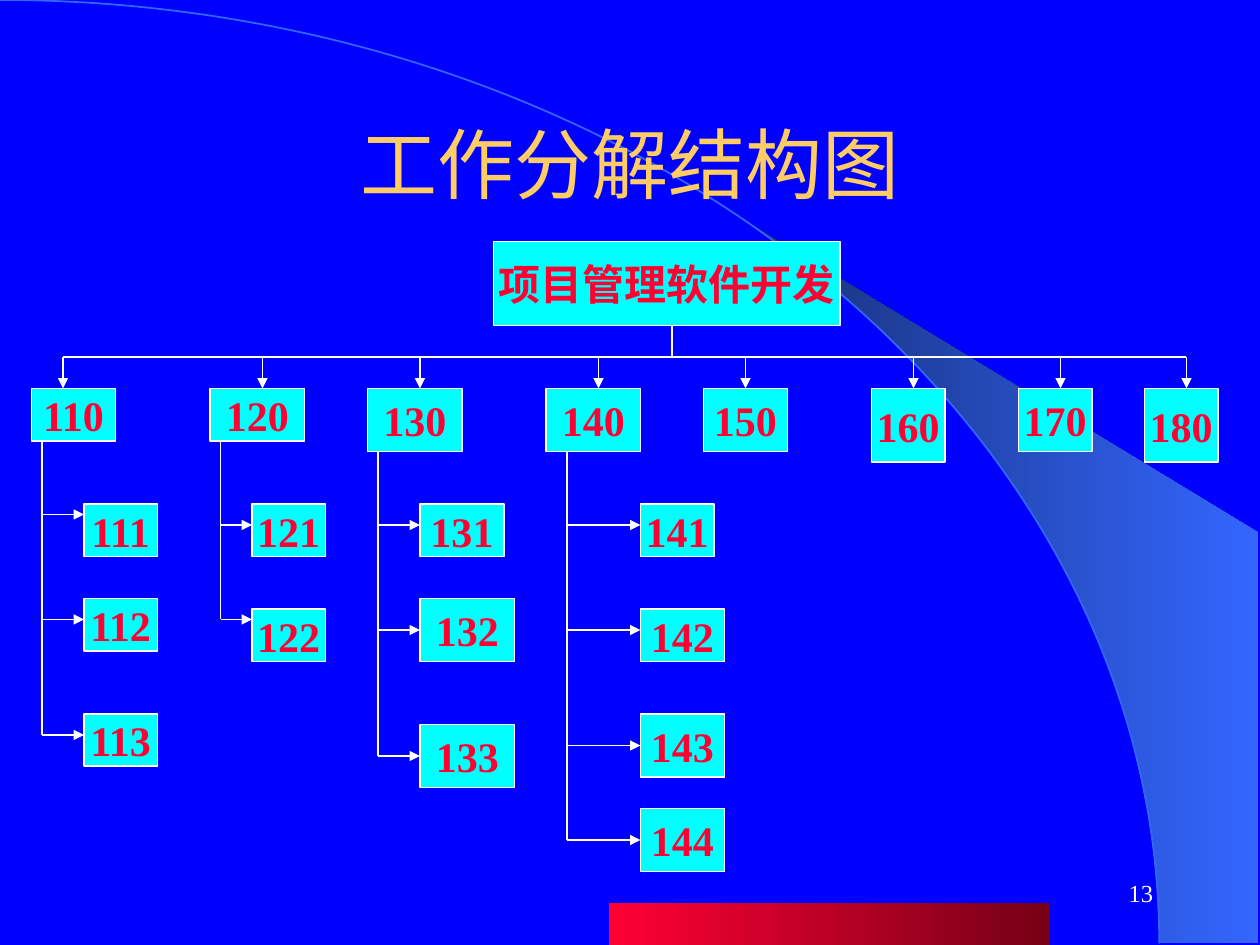
from dataclasses import dataclass
from math import cos, radians, sin

from lxml import etree
from pptx import Presentation
from pptx.dml.color import RGBColor
from pptx.enum.shapes import MSO_CONNECTOR, MSO_SHAPE
from pptx.enum.text import MSO_ANCHOR, PP_ALIGN
from pptx.oxml.ns import qn
from pptx.util import Cm, Length, Pt

RECTANGLE, ARC = MSO_SHAPE.RECTANGLE, MSO_SHAPE.ARC
STRAIGHT = MSO_CONNECTOR.STRAIGHT
CENTER, RIGHT = PP_ALIGN.CENTER, PP_ALIGN.RIGHT
MIDDLE = MSO_ANCHOR.MIDDLE

BLUE = RGBColor(0x00, 0x00, 0xFF)
SKY = RGBColor(0x33, 0x66, 0xFF)
NAVY = RGBColor(0x17, 0x2F, 0x75)
GOLD = RGBColor(0xFF, 0xCC, 0x66)
CYAN = RGBColor(0x00, 0xFF, 0xFF)
RED = RGBColor(0xFF, 0x00, 0x33)
MAROON = RGBColor(0x75, 0x00, 0x17)
WHITE = RGBColor(0xFF, 0xFF, 0xFF)

SERIF, SANS = "Times New Roman", "Noto Sans CJK SC"
ARC_WIDTH, ARC_HEIGHT = 23.37, 19.02  # radii in cm


@dataclass(frozen=True)
class Node:
    """A box, in grid steps; arrow is where its incoming arrow meets it."""
    label: str
    left: float
    top: float
    width: float
    height: float
    arrow: float = 0


@dataclass(frozen=True)
class Branch:
    head: Node
    trunk: float = 0
    children: tuple[Node, ...] = ()


ROOT = Node("项目管理软件开发", 47, 23, 33, 8)
STEM, BUS = 64, 34
BRANCHES = (
    Branch(Node("110", 3, 37, 8, 5, 6), 4, (
        Node("111", 8, 48, 7, 5, 49),
        Node("112", 8, 57, 7, 5, 59),
        Node("113", 8, 68, 7, 5, 70))),
    Branch(Node("120", 20, 37, 9, 5, 25), 21, (
        Node("121", 24, 48, 7, 5, 50),
        Node("122", 24, 58, 7, 5, 59))),
    Branch(Node("130", 35, 37, 9, 6, 40), 36, (
        Node("131", 40, 48, 8, 5, 50),
        Node("132", 40, 57, 9, 6, 60),
        Node("133", 40, 69, 9, 6, 72))),
    Branch(Node("140", 52, 37, 9, 6, 57), 54, (
        Node("141", 61, 48, 7, 5, 50),
        Node("142", 61, 58, 8, 5, 60),
        Node("143", 61, 68, 8, 6, 71),
        Node("144", 61, 77, 8, 6, 80))),
    Branch(Node("150", 67, 37, 8, 6, 71)),
    Branch(Node("160", 83, 37, 7, 7, 87)),
    Branch(Node("170", 97, 37, 7, 6, 101)),
    Branch(Node("180", 109, 37, 7, 7, 113)),
)


def grid(steps: float) -> Length:
    """Length of grid steps, twelve to the inch."""
    return Cm(steps * 2.54 / 12)


def write(shape, text: str, size: int, color: RGBColor, font: str = SERIF,
          align=CENTER, bold: bool = False, wrap: bool = True) -> None:
    frame = shape.text_frame
    frame.word_wrap = wrap
    frame.vertical_anchor = MIDDLE
    para = frame.paragraphs[0]
    para.text = text
    para.alignment = align
    para.font.size, para.font.bold, para.font.name = Pt(size), bold, font
    para.font.color.rgb = color
    east_asian = etree.SubElement(para._p.pPr.find(qn("a:defRPr")), qn("a:ea"))
    east_asian.set("typeface", SANS)


def fade(shape, left_color: RGBColor, right_color: RGBColor) -> None:
    """Fill with a left-to-right gradient and no outline."""
    shape.shadow.inherit = False
    shape.line.fill.background()
    shape.fill.gradient()
    shape.fill.gradient_angle = 0
    for stop, color in zip(shape.fill.gradient_stops, (left_color, right_color)):
        stop.color.rgb = color


def draw_node(page, node: Node) -> None:
    box = page.shapes.add_shape(RECTANGLE, grid(node.left), grid(node.top),
                                grid(node.width), grid(node.height))
    box.shadow.inherit = False
    box.fill.solid()
    box.fill.fore_color.rgb = CYAN
    box.line.color.rgb = WHITE
    box.line.width = Pt(1)
    write(box, node.label, 24, RED, bold=True, wrap=False)


def draw_line(page, x1: float, y1: float, x2: float, y2: float,
              arrow: bool = False) -> None:
    line = page.shapes.add_connector(STRAIGHT, grid(x1), grid(y1), grid(x2), grid(y2))
    line.line.color.rgb = WHITE
    line.line.width = Pt(1)
    if arrow:
        etree.SubElement(line.line._get_or_add_ln(), qn("a:tailEnd")).set("type", "triangle")
    etree.SubElement(line._element.spPr, qn("a:effectLst"))


def draw_backdrop(page) -> None:
    page.background.fill.solid()
    page.background.fill.fore_color.rgb = BLUE

    edge = [(100 * ARC_WIDTH * cos(radians(angle)),
             100 * ARC_HEIGHT * (1 - sin(radians(angle))))
            for angle in range(50, -1, -2)]
    builder = page.shapes.build_freeform(*edge[0], scale=Cm(0.01))
    builder.add_line_segments(edge[1:] + [(2537, 1902), (2537, 1074)])
    fade(builder.convert_to_shape(), NAVY, SKY)

    arc = page.shapes.add_shape(ARC, Cm(-ARC_WIDTH), Cm(0),
                                Cm(2 * ARC_WIDTH), Cm(2 * ARC_HEIGHT))
    arc.shadow.inherit = False
    arc.fill.background()
    arc.line.color.rgb = SKY
    arc.line.width = Pt(1)


def draw_tree(page) -> None:
    heads = [branch.head for branch in BRANCHES]
    children = [child for branch in BRANCHES for child in branch.children]
    for node in (ROOT, *heads, *children):
        draw_node(page, node)

    draw_line(page, STEM, ROOT.top + ROOT.height, STEM, BUS)
    draw_line(page, heads[0].arrow, BUS, heads[-1].arrow, BUS)
    for head in heads:
        draw_line(page, head.arrow, BUS, head.arrow, head.top, arrow=True)
    for branch in BRANCHES:
        if branch.children:
            draw_line(page, branch.trunk, branch.head.top + branch.head.height,
                      branch.trunk, branch.children[-1].arrow)
        for child in branch.children:
            draw_line(page, branch.trunk, child.arrow, child.left, child.arrow, arrow=True)


def main() -> None:
    deck = Presentation()
    deck.slide_width, deck.slide_height = Cm(25.4), Cm(19.05)
    page = deck.slides.add_slide(deck.slide_layouts[6])
    draw_backdrop(page)

    title = page.shapes.add_textbox(grid(9), grid(8), grid(102), grid(15))
    write(title, "工作分解结构图", 44, GOLD, font=SANS)
    bar = page.shapes.add_shape(RECTANGLE, grid(58), grid(86), grid(42), grid(4))
    fade(bar, RED, MAROON)
    draw_tree(page)
    number = page.shapes.add_textbox(grid(86), grid(82), grid(25), grid(6))
    write(number, "13", 14, WHITE, align=RIGHT)
    deck.save("out.pptx")


if __name__ == "__main__":
    main()
